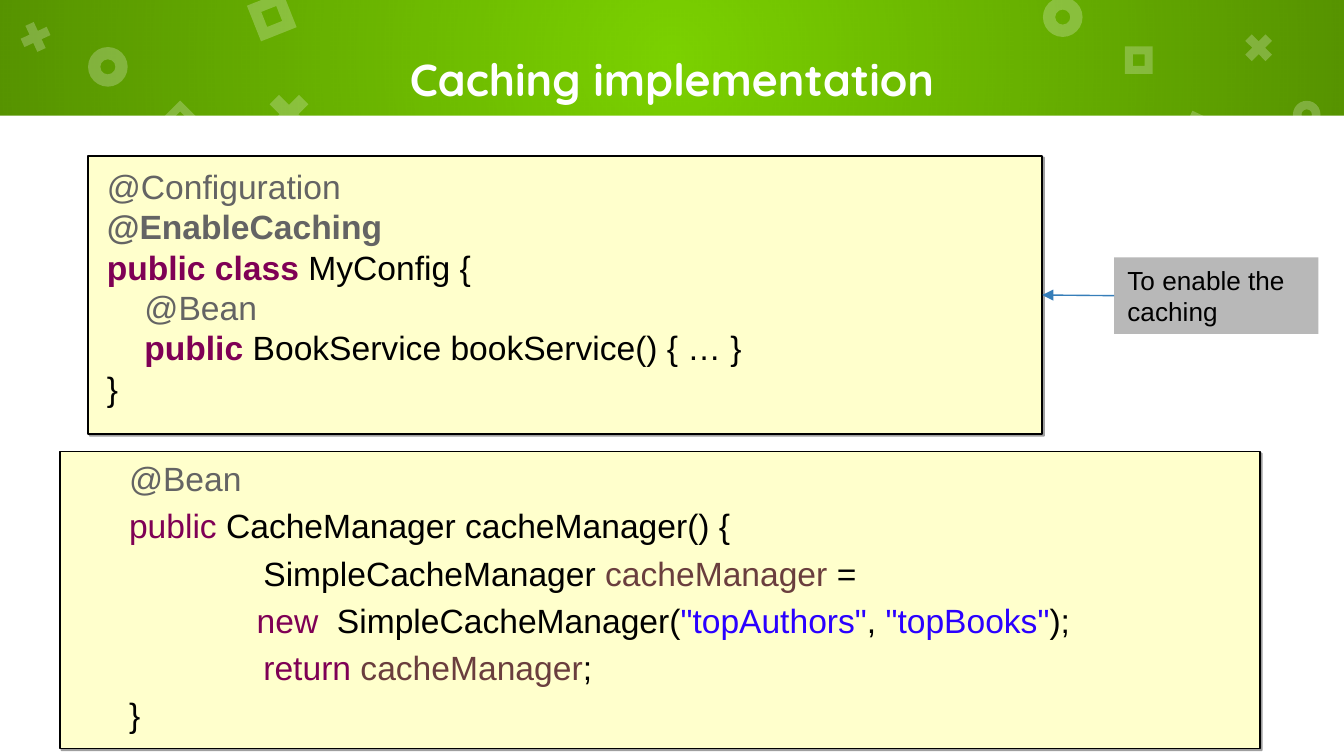
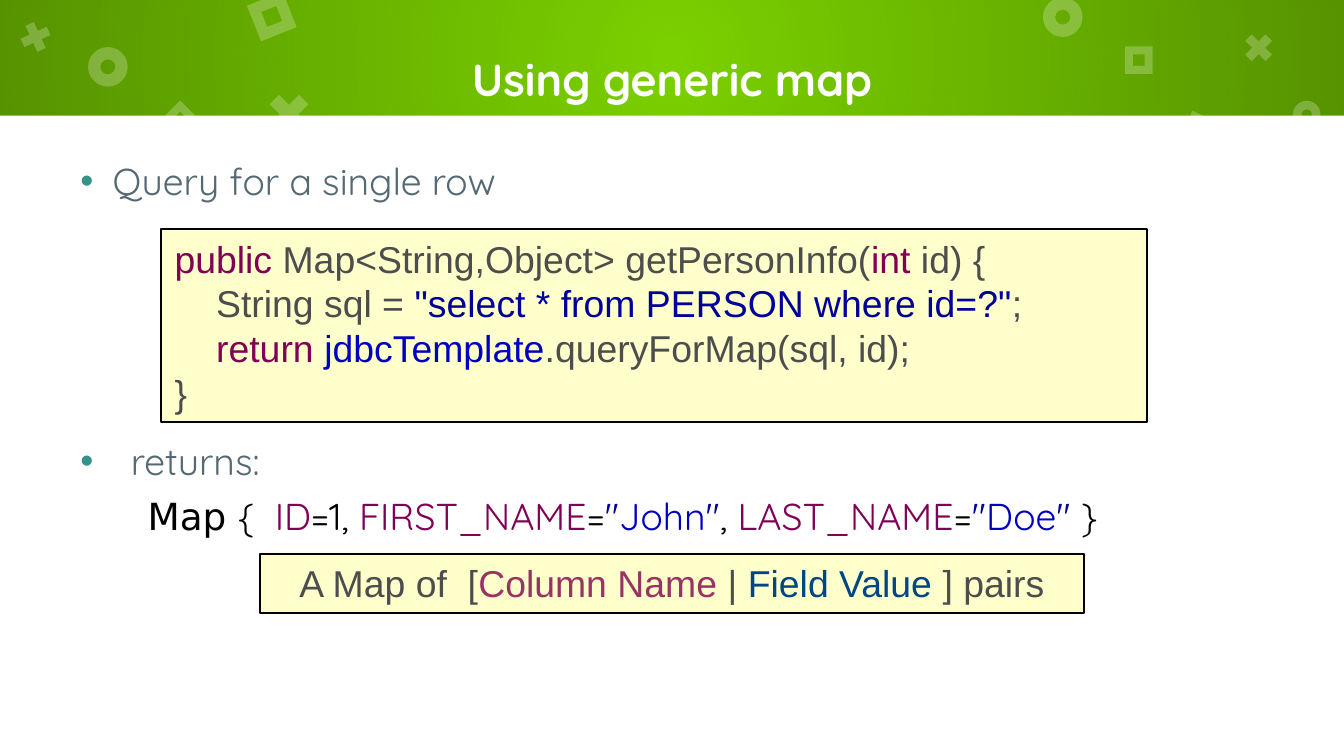
from lxml import etree
from pptx import Presentation
from pptx.dml.color import RGBColor
from pptx.enum import shapes, text
from pptx.oxml import ns
from pptx.util import Pt

PX = 4572
GREEN = RGBColor(0x7B, 0xD1, 0x00)
WHITE = RGBColor(0xFF, 0xFF, 0xFF)
BLACK = RGBColor(0x00, 0x00, 0x00)
CREAM = RGBColor(0xFF, 0xFF, 0xCC)
SHADE = RGBColor(0x80, 0x80, 0x80)
SILVER = RGBColor(0xB8, 0xB8, 0xB8)
STEEL = RGBColor(0x36, 0x7E, 0xB9)
NOTE = RGBColor(0x64, 0x64, 0x64)
DARK = RGBColor(0x4D, 0x4D, 0x4D)
PLUM = RGBColor(0x7F, 0x00, 0x55)
BROWN = RGBColor(0x6A, 0x3E, 0x3E)
VIVID = RGBColor(0x2A, 0x00, 0xFF)
NAVY = RGBColor(0x00, 0x00, 0x99)
BLUE = RGBColor(0x00, 0x00, 0xC0)
ROSE = RGBColor(0x99, 0x33, 0x66)
OCEAN = RGBColor(0x00, 0x45, 0x86)
SLATE = RGBColor(0x54, 0x69, 0x73)
TEAL = RGBColor(0x33, 0x92, 0x8A)

SHAPE = shapes.MSO_SHAPE
TOP, MID = text.MSO_ANCHOR.TOP, text.MSO_ANCHOR.MIDDLE
LEFT, CENTER = text.PP_ALIGN.LEFT, text.PP_ALIGN.CENTER

WIDE, TALL, BAND = 2000, 1125, 172
RING, CROSS, FRAME = (SHAPE.DONUT, 0.31), (SHAPE.MATH_MULTIPLY, 0.235), (SHAPE.FRAME, 0.289)
DECOR = [
    (RING, 131, 70, 59, 0), (CROSS, 388, 128, 84, 0), (FRAME, 376, -4, 57, 338.4),
    (RING, 1552, -4, 59, 0), (FRAME, 1760, 174, 56, 25), (CROSS, 24, 26, 58, 20.4),
    (FRAME, 248, 158, 40, 45), (RING, 1924, 150, 41, 0), (CROSS, 1844, 42, 58, 0),
    (FRAME, 1674, 69, 41, 0),
]


def emu(*vals):
    return [v * PX for v in vals]


def add(parent, tag, **attrs):
    node = etree.SubElement(parent, ns.qn(tag))
    for key, val in attrs.items():
        node.set(key, str(val))
    return node


def draw(slide, kind, box, fill, line=None):
    item = slide.shapes.add_shape(kind, *emu(*box))
    item.shadow.inherit = False
    item.fill.solid()
    item.fill.fore_color.rgb = fill
    if line is None:
        item.line.fill.background()
    else:
        item.line.color.rgb = line
        item.line.width = Pt(1)
    return item


def frame(item, pad=(20, 10), anchor=TOP):
    tf = item.text_frame
    tf.word_wrap = True
    tf.vertical_anchor = anchor
    tf.margin_left = tf.margin_right = pad[0] * PX
    tf.margin_top = tf.margin_bottom = pad[1] * PX
    return tf


def write(para, runs, size, face="Arial", align=LEFT, left=0, hang=0):
    para.alignment = align
    para.font.size = Pt(size)
    if face:
        para.font.name = face
    props = para._p.get_or_add_pPr()
    props.set("marL", str(left * PX))
    props.set("indent", str(-hang * PX))
    for words, color, *more in runs:
        run = para.add_run()
        run.text = words
        run.font.color.rgb = color
        for extra in more:
            if extra is True:
                run.font.bold = True
            else:
                run.font.name = extra


def lines(tf, rows):
    for i, row in enumerate(rows):
        yield (tf.paragraphs[0] if i == 0 else tf.add_paragraph()), row


def code(slide, box, rows, size, pad=(20, 10), anchor=TOP, shade=False,
         align=LEFT, space=None, before=None):
    item = draw(slide, SHAPE.RECTANGLE, box, CREAM, BLACK)
    if shade:
        effects = item._element.spPr.find(ns.qn("a:effectLst"))
        cast = add(effects, "a:outerShdw", blurRad=0, dist=17780, dir=2700000,
                   algn="tl", rotWithShape=0)
        add(add(cast, "a:srgbClr", val=SHADE), "a:alpha", val=75000)
    for para, (left, *runs) in lines(frame(item, pad, anchor), rows):
        write(para, runs, size, align=align, left=left)
        if space:
            para.line_spacing = space
        if before:
            para.space_before = Pt(before)
    return item


def glow(item):
    props = item._element.spPr
    old = props.find(ns.qn("a:solidFill"))
    grad = etree.Element(ns.qn("a:gradFill"), rotWithShape="1")
    stops = add(grad, "a:gsLst")
    for pos, alpha in (0, 0), (100000, 30000):
        tone = add(add(stops, "a:gs", pos=pos), "a:srgbClr", val=BLACK)
        add(tone, "a:alpha", val=alpha)
    add(add(grad, "a:path", path="circle"), "a:fillToRect",
        l=50000, t=50000, r=50000, b=50000)
    props.replace(old, grad)


def base(deck, title):
    slide = deck.slides.add_slide(deck.slide_layouts[6])
    back = slide.background.fill
    back.solid()
    back.fore_color.rgb = GREEN
    glow(draw(slide, SHAPE.RECTANGLE, (0, 0, WIDE, BAND), BLACK))
    draw(slide, SHAPE.RECTANGLE, (0, BAND, WIDE, TALL - BAND), WHITE)
    for (kind, adjust), x, y, side, turn in DECOR:
        item = draw(slide, kind, (x, y, side, side), WHITE)
        item.adjustments[0] = adjust
        item.rotation = turn
        tone = item._element.spPr.find(ns.qn("a:solidFill"))[0]
        add(tone, "a:alpha", val=24000)
    head = slide.shapes.add_textbox(*emu(190, 0, 1620, 233))
    tf = frame(head, (20, 20), MID)
    write(tf.paragraphs[0], [(title, WHITE, True)], 24, "Quicksand", CENTER)
    return slide


def label(slide, box, words, target):
    item = draw(slide, SHAPE.RECTANGLE, box, SILVER)
    write(frame(item).paragraphs[0], [(words, BLACK)], 14)
    link = slide.shapes.add_connector(shapes.MSO_CONNECTOR.STRAIGHT, 0, 0, 0, 0)
    link.begin_connect(item, 1)
    link.end_connect(target, 3)
    link.line.color.rgb = STEEL
    link.line.width = Pt(0.75)
    add(link.line._get_or_add_ln(), "a:tailEnd", type="triangle")
    add(link._element.spPr, "a:effectLst")


def cache(deck):
    slide = base(deck, "Caching implementation")
    setup = code(slide, (131, 232, 1420, 414), [
        (0, ("@Configuration", NOTE)),
        (0, ("@EnableCaching", NOTE, True)),
        (0, ("public class", PLUM, True), (" MyConfig {", BLACK)),
        (56, ("@Bean", NOTE)),
        (56, ("public", PLUM, True), (" BookService bookService() { … }", BLACK)),
        (0, ("}", BLACK)),
    ], 18, (28, 15), shade=True)
    label(slide, (1658, 383, 304, 114), "To enable the caching", setup)
    code(slide, (89, 672, 1786, 442), [
        (75, ("@Bean", NOTE)),
        (75, ("public", PLUM), (" CacheManager cacheManager() {", BLACK)),
        (275, ("SimpleCacheManager ", BLACK), ("cacheManager", BROWN), (" =", BLACK)),
        (265, ("new", PLUM), ("  SimpleCacheManager(", BLACK), ('"topAuthors"', VIVID),
         (", ", BLACK), ('"topBooks"', VIVID), (");", BLACK)),
        (275, ("return ", PLUM), ("cacheManager", BROWN), (";", BLACK)),
        (75, ("}", BLACK)),
    ], 18, (28, 14), MID, shade=True, space=0.8, before=8)


def field(name, value):
    return [(name, PLUM), ("=", BLACK), ('"', NAVY), (value, BLUE), ('"', NAVY)]


def body(slide, box):
    tf = frame(slide.shapes.add_textbox(*emu(*box)), (20, 20))
    pairs = [("{ ", BLACK), (" ID", PLUM), ("=1, ", BLACK), *field("FIRST_NAME", "John"),
             (", ", BLACK), *field("LAST_NAME", "Doe"), (" }", BLACK)]
    result = [("Map ", BLACK, "DejaVu Sans")] + [(*pair, "Quicksand") for pair in pairs]
    rows = [
        ([("Query for a single row", SLATE)], "Quicksand", 48, 48, 6),
        ([("returns:", SLATE)], "Quicksand", 75, 75, 126),
        (result, None, 100, 0, 5),
    ]
    for para, (runs, face, left, hang, before) in lines(tf, rows):
        write(para, runs, 20, face, left=left, hang=hang)
        para.space_before = Pt(before)
        if hang:
            font = para._p.get_or_add_pPr().find(ns.qn("a:defRPr"))
            tint = etree.Element(ns.qn("a:buClr"))
            add(tint, "a:srgbClr", val=TEAL)
            font.addprevious(tint)
            font.addprevious(etree.Element(ns.qn("a:buFont"), typeface="Arial"))
            font.addprevious(etree.Element(ns.qn("a:buChar"), char="•"))


def query(deck):
    slide = base(deck, "Using generic map")
    body(slide, (100, 216, 1800, 610))
    code(slide, (240, 341, 1467, 287), [
        (0, ("public", PLUM), (" Map<String,Object> getPersonInfo(", DARK),
         ("int", PLUM), (" id) {", DARK)),
        (62, ("String sql = ", DARK), ('"select * from PERSON where id=?"', NAVY), (";", DARK)),
        (62, ("return ", PLUM), ("jdbcTemplate", BLUE), (".queryForMap(sql, id);", DARK)),
        (0, ("}", DARK)),
    ], 20)
    code(slide, (387, 824, 1226, 88), [
        (0, ("A Map of  [", DARK), ("Column Name", ROSE), (" | ", DARK),
         ("Field Value", OCEAN), (" ] pairs", DARK)),
    ], 20, align=CENTER)


def main():
    deck = Presentation()
    deck.slide_width, deck.slide_height = emu(WIDE, TALL)
    cache(deck)
    query(deck)
    deck.save("out.pptx")


if __name__ == "__main__":
    main()
